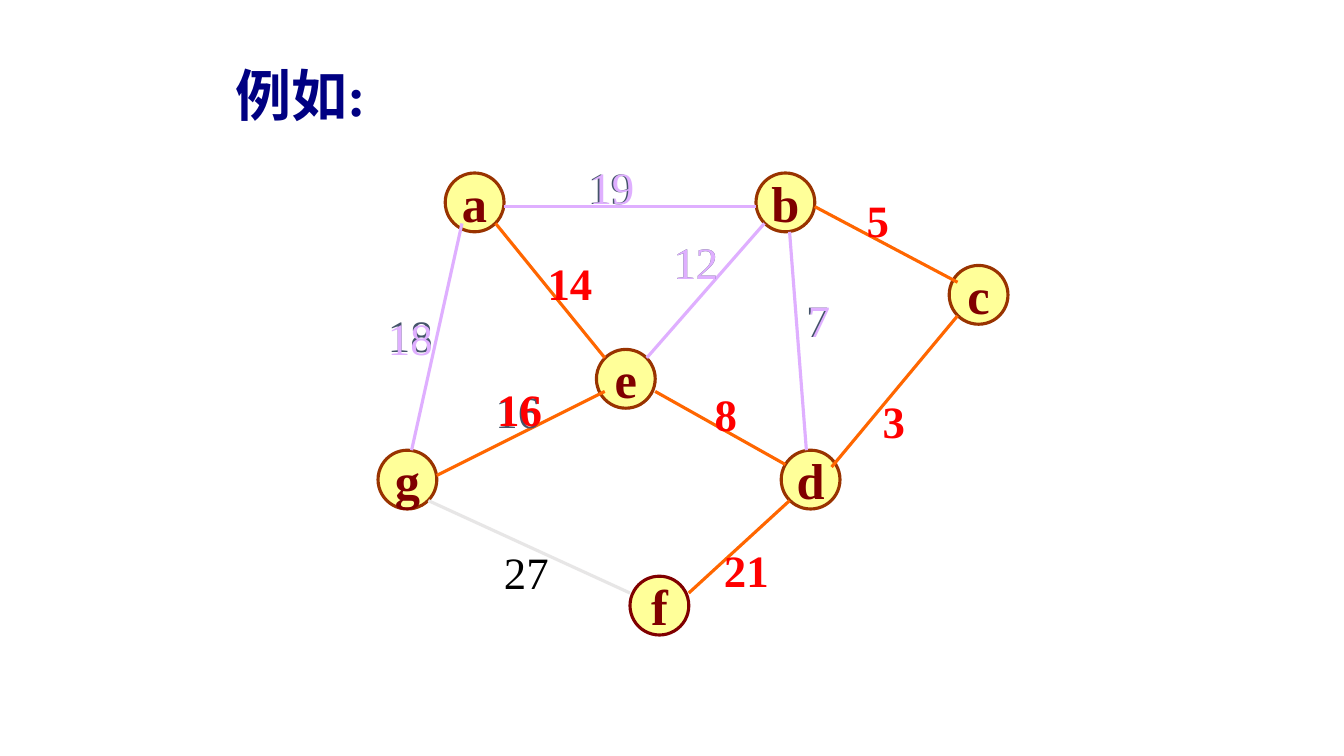
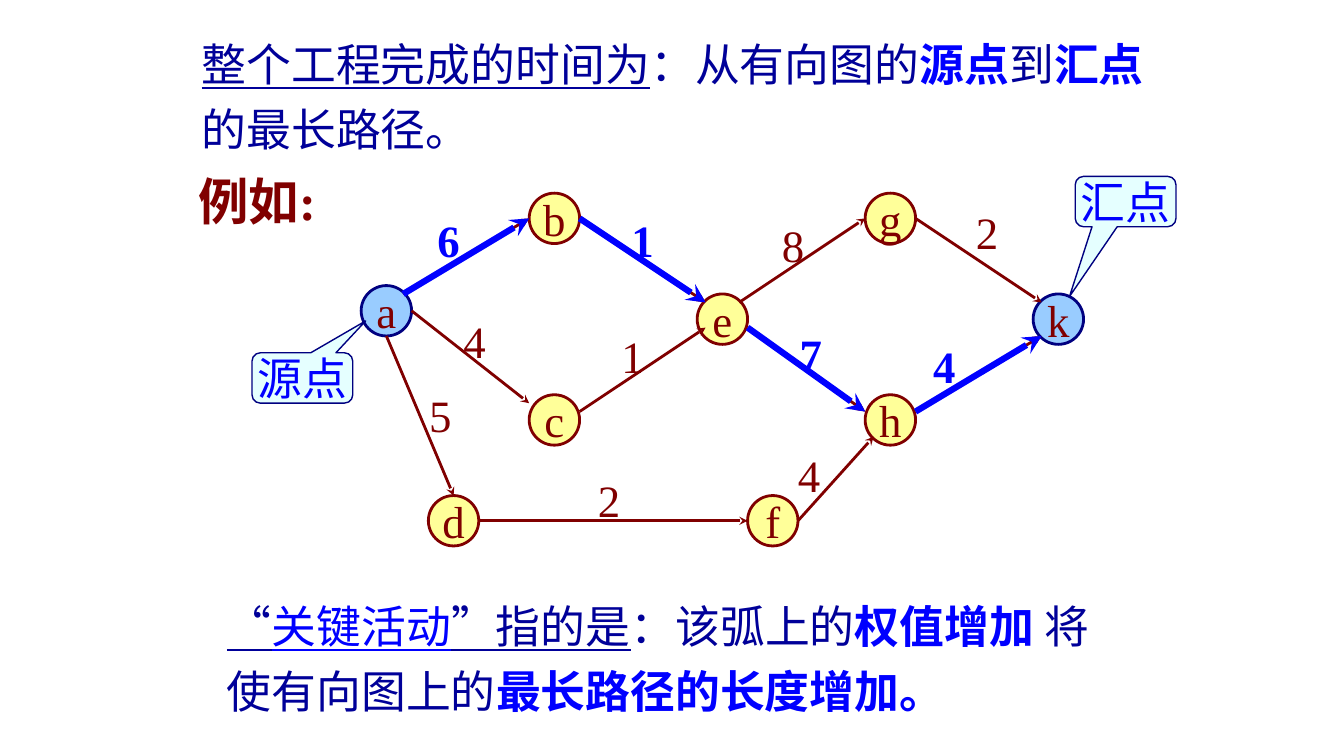
import dataclasses

import pptx
import pptx.dml.color
import pptx.enum.dml
import pptx.enum.shapes
import pptx.enum.text
import pptx.oxml
import pptx.oxml.ns
import pptx.util
from lxml import etree

SHAPE = pptx.enum.shapes.MSO_SHAPE
ALIGN = pptx.enum.text.PP_ALIGN
ANCHOR = pptx.enum.text.MSO_ANCHOR
Pt = pptx.util.Pt
qn = pptx.oxml.ns.qn


@dataclasses.dataclass(frozen=True)
class Theme:
    font: str = "Times New Roman"
    yellow: str = "FFFF99"
    sky: str = "99CCFF"
    ice: str = "CCFFFF"
    brown: str = "993300"
    maroon: str = "800000"
    navy: str = "000080"
    heading: str = "000082"
    ink: str = "000099"
    blue: str = "0000FF"
    red: str = "FF0000"
    orange: str = "FF6600"
    lilac: str = "DFAFFF"
    slate: str = "44546A"
    grey: str = "E7E6E6"
    black: str = "000000"
    big: int = 40
    medium: int = 36
    normal: int = 32


T = Theme()
rgb = pptx.dml.color.RGBColor.from_string

prs = pptx.Presentation()
prs.slide_width = pptx.util.Inches(13.33)
prs.slide_height = pptx.util.Inches(7.5)
COLS, ROWS = 160, 90


def grid(*values):
    """Turn alternating column and row counts into slide lengths."""
    units = (prs.slide_width / COLS, prs.slide_height / ROWS)
    return [round(v * units[i % 2]) for i, v in enumerate(values)]


def write(tf, runs, size, align=ALIGN.LEFT, anchor=ANCHOR.TOP, wrap=False):
    """Fill one paragraph; a run is (text, colour, bold, underlined)."""
    tf.word_wrap = wrap
    tf.auto_size = pptx.enum.text.MSO_AUTO_SIZE.NONE
    tf.vertical_anchor = anchor
    p = tf.paragraphs[0]
    p.alignment = align
    for text, colour, bold, underline in runs:
        r = p.add_run()
        r.text = text
        r.font.name = T.font
        r.font.size = Pt(size)
        r.font.bold = bold
        r.font.underline = underline
        r.font.color.rgb = rgb(colour)
    return p


# Edges run from (column, row) to (column, row); labels are placed by their top left.
spanning_tree = dict(
    layout=5, title=(26.8, 6.6, 18, 9.2), title_size=T.big, title_colour=T.heading,
    drop=0.6, node_size=7, node_line=2.25, node_font=T.medium, node_bold=True, arrow=False,
    nodes=[
        ("a", 53, 20, T.yellow, T.brown), ("b", 90, 20, T.yellow, T.brown),
        ("c", 113, 31, T.yellow, T.brown), ("d", 93, 53, T.yellow, T.brown),
        ("e", 71, 41, T.yellow, T.brown), ("f", 75, 68, T.yellow, T.maroon),
        ("g", 45, 53, T.yellow, T.brown),
    ],
    edges=[
        (51, 59, 75, 70, T.grey, 2.25),
        (59, 26, 72, 42, T.orange, 2.25), (78, 46, 93.5, 54.7, T.orange, 2.25),
        (114, 37, 99, 55, T.orange, 2.25), (97, 24, 114, 33, T.orange, 2.25),
        (52, 56, 72, 46, T.orange, 2.25), (94, 59, 82, 70, T.orange, 2.25),
        (94, 27, 96, 53, T.lilac, 2.25), (91, 26, 77, 42, T.lilac, 2.25),
        (55, 26, 49, 53, T.lilac, 2.25), (60, 24, 90, 24, T.lilac, 2.25),
    ],
    labels=[
        ("19", 68.8, 18.4, T.slate, False), ("18", 45, 36.1, T.slate, False),
        ("16", 57.8, 45.1, T.slate, False), ("12", 79, 27.4, T.slate, False),
        ("7", 94.8, 34.2, T.slate, False), ("27", 58.8, 64.2, T.black, False),
        ("14", 64, 29.9, T.red, True), ("8", 83.9, 45.4, T.red, True),
        ("5", 102, 22.3, T.red, True), ("3", 103.9, 46.3, T.red, True),
        ("16", 58, 44.9, T.red, True), ("21", 85, 64, T.red, True),
        ("7", 95, 34.3, T.lilac, False), ("12", 79, 27.4, T.lilac, False),
        ("18", 45, 36.4, T.lilac, False), ("19", 69, 18.4, T.lilac, False),
    ],
    bodies=[], callouts=[],
)

critical_arcs = [(48, 35, 63, 26), (69, 26, 84, 36), (89, 39, 103, 49), (109, 49, 124, 40)]
other_arcs = [
    (49, 37, 63, 48), (69, 49, 84, 39), (88, 36, 103, 26), (109, 26, 124, 36),
    (46, 40, 54, 59), (57, 62, 89, 62), (95, 62, 104, 52),
]
critical_path = dict(
    layout=3, title=(22.4, 19.7, 16.4, 8.4), title_size=T.medium, title_colour=T.maroon,
    drop=0, node_size=6, node_line=2, node_font=T.normal, node_bold=False, arrow=True,
    nodes=[
        ("a", 43, 34, T.sky, T.navy), ("b", 63, 23, T.yellow, T.maroon),
        ("c", 63, 47, T.yellow, T.maroon), ("d", 51, 59, T.yellow, T.maroon),
        ("e", 83, 35, T.yellow, T.maroon), ("f", 89, 59, T.yellow, T.maroon),
        ("g", 103, 23, T.yellow, T.maroon), ("h", 103, 47, T.yellow, T.maroon),
        ("k", 123, 35, T.sky, T.navy),
    ],
    edges=[(*arc, T.maroon, 2) for arc in other_arcs + critical_arcs]
    + [(*arc, T.blue, 4.5) for arc in critical_arcs],
    labels=[
        ("4", 54, 36.7, T.maroon, False), ("5", 49.9, 45.6, T.maroon, False),
        ("2", 70, 55.7, T.maroon, False), ("1", 72.8, 38.5, T.maroon, False),
        ("8", 91.9, 25.3, T.maroon, False), ("2", 115, 23.8, T.maroon, False),
        ("4", 93.8, 52.7, T.maroon, False),
        ("6", 50.9, 24.7, T.blue, True), ("1", 74, 24.7, T.blue, True),
        ("7", 94, 38.3, T.blue, True), ("4", 109.9, 39.7, T.blue, True),
    ],
    bodies=[
        ((22.8, 2.5, 115.2, 16.7), [
            ("整个工程完成的时间为", T.ink, False, True),
            ("：从有向图的", T.ink, False, False),
            ("源点", T.blue, True, False),
            ("到", T.ink, False, False),
            ("汇点", T.blue, True, False),
            ("的最长路径。", T.ink, False, False),
        ]),
        ((25.8, 69.4, 110.2, 16.7), [
            ("“", T.ink, False, True),
            ("关键活动", T.blue, False, True),
            ("”指的是", T.ink, False, True),
            ("：该弧上的", T.ink, False, False),
            ("权值增加 ", T.blue, True, False),
            ("将使有向图上的", T.ink, False, False),
            ("最长路径的长度增加。", T.blue, True, False),
        ]),
    ],
    callouts=[
        ("源点", 30, 42, (0.628, -1.132, 0.167)),
        ("汇点", 128, 21, (-0.557, 1.885, 0.167)),
    ],
)

for graph in (spanning_tree, critical_path):
    s = prs.slides.add_slide(prs.slide_layouts[graph["layout"]])
    drop = graph["drop"]

    title = s.shapes.title
    title.left, title.top, title.width, title.height = grid(*graph["title"])
    write(title.text_frame, [("例如:", graph["title_colour"], True, False)], graph["title_size"])

    bodies = [ph for ph in s.placeholders if ph.placeholder_format.idx in (1, 2)]
    for body, (box, runs) in zip(bodies, graph["bodies"]):
        body.left, body.top, body.width, body.height = grid(*box)
        p = write(body.text_frame, runs, T.normal, wrap=True)
        p.line_spacing = 1.2
        p.space_before = Pt(0)
        pPr = p._p.get_or_add_pPr()
        pPr.set("marL", "0")
        pPr.set("indent", "0")
        etree.SubElement(pPr, qn("a:buNone"))

    for name, col, row, fill, line in graph["nodes"]:
        size = graph["node_size"]
        sp = s.shapes.add_shape(SHAPE.OVAL, *grid(col, row + drop, size, size))
        sp.shadow.inherit = False
        sp.fill.solid()
        sp.fill.fore_color.rgb = rgb(fill)
        sp.line.color.rgb = rgb(line)
        sp.line.width = Pt(graph["node_line"])
        write(sp.text_frame, [(name, T.maroon, graph["node_bold"], False)],
              graph["node_font"], ALIGN.CENTER, ANCHOR.MIDDLE)

    for x1, y1, x2, y2, colour, width in graph["edges"]:
        edge = s.shapes.add_connector(pptx.enum.shapes.MSO_CONNECTOR.STRAIGHT,
                                      *grid(x1, y1 + drop, x2, y2 + drop))
        edge.line.color.rgb = rgb(colour)
        edge.line.width = Pt(width)
        if graph["arrow"]:
            etree.SubElement(edge.line._get_or_add_ln(), qn("a:tailEnd"), type="stealth")
        etree.SubElement(edge._element.spPr, qn("a:effectLst"))

    for text, col, row, fill, adjustments in [(*c[:3], T.ice, c[3]) for c in graph["callouts"]]:
        sp = s.shapes.add_shape(SHAPE.ROUNDED_RECTANGULAR_CALLOUT, *grid(col, row, 12, 6))
        for i, value in enumerate(adjustments):
            sp.adjustments[i] = value
        sp.shadow.inherit = False
        sp.fill.solid()
        sp.fill.fore_color.rgb = rgb(fill)
        tint = sp._element.spPr.find(qn("a:solidFill"))[0]
        etree.SubElement(tint, qn("a:alpha"), val="50000")
        sp.line.color.rgb = rgb(T.navy)
        sp.line.width = Pt(1)
        write(sp.text_frame, [(text, T.blue, False, False)], T.normal,
              ALIGN.CENTER, ANCHOR.MIDDLE)

    for text, col, row, colour, bold in graph["labels"]:
        width = 5 if len(text) == 1 else 7.8
        label = s.shapes.add_textbox(*grid(col, row, width, 7.6))
        write(label.text_frame, [(text, colour, bold, False)], T.normal)

prs.save("out.pptx")
